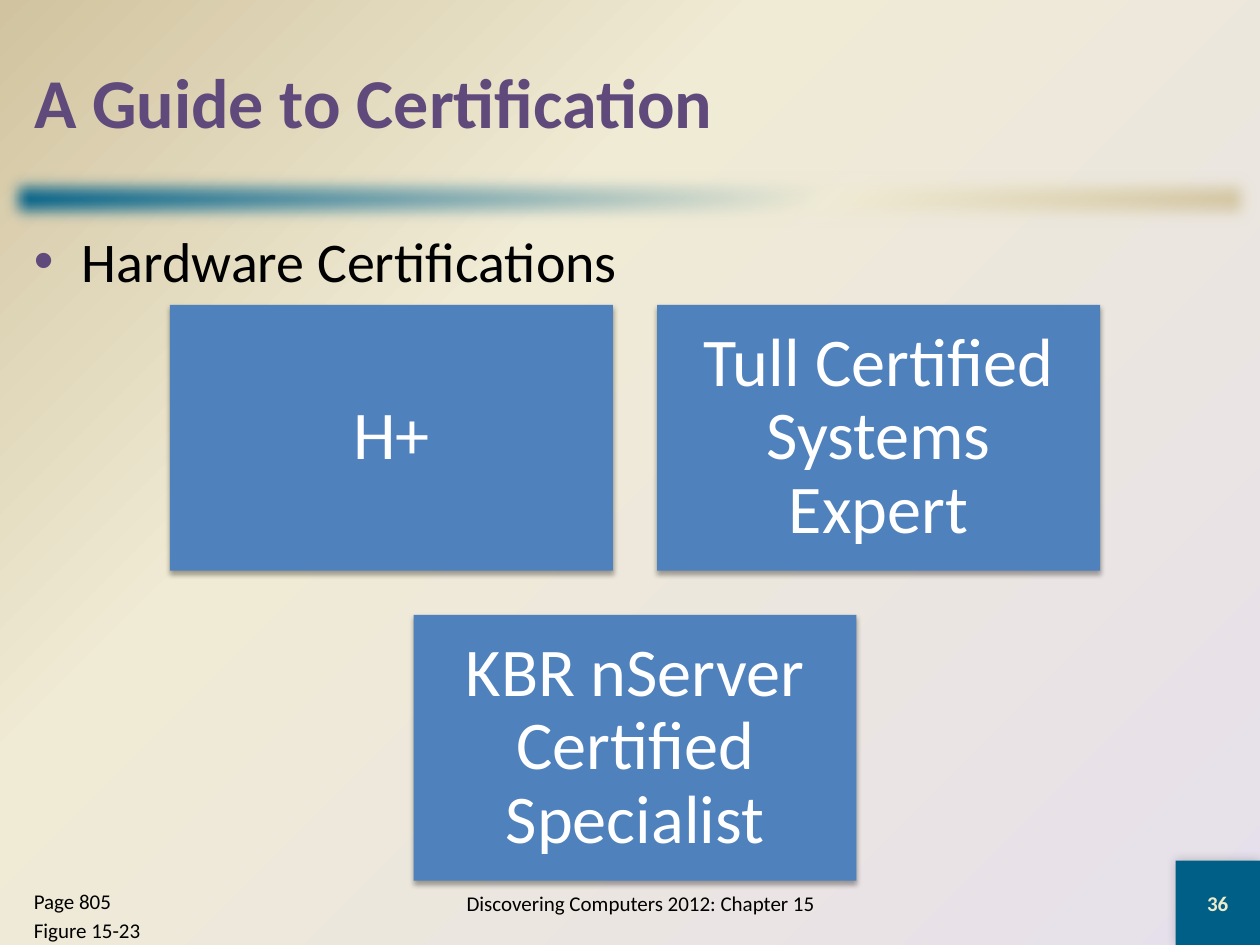
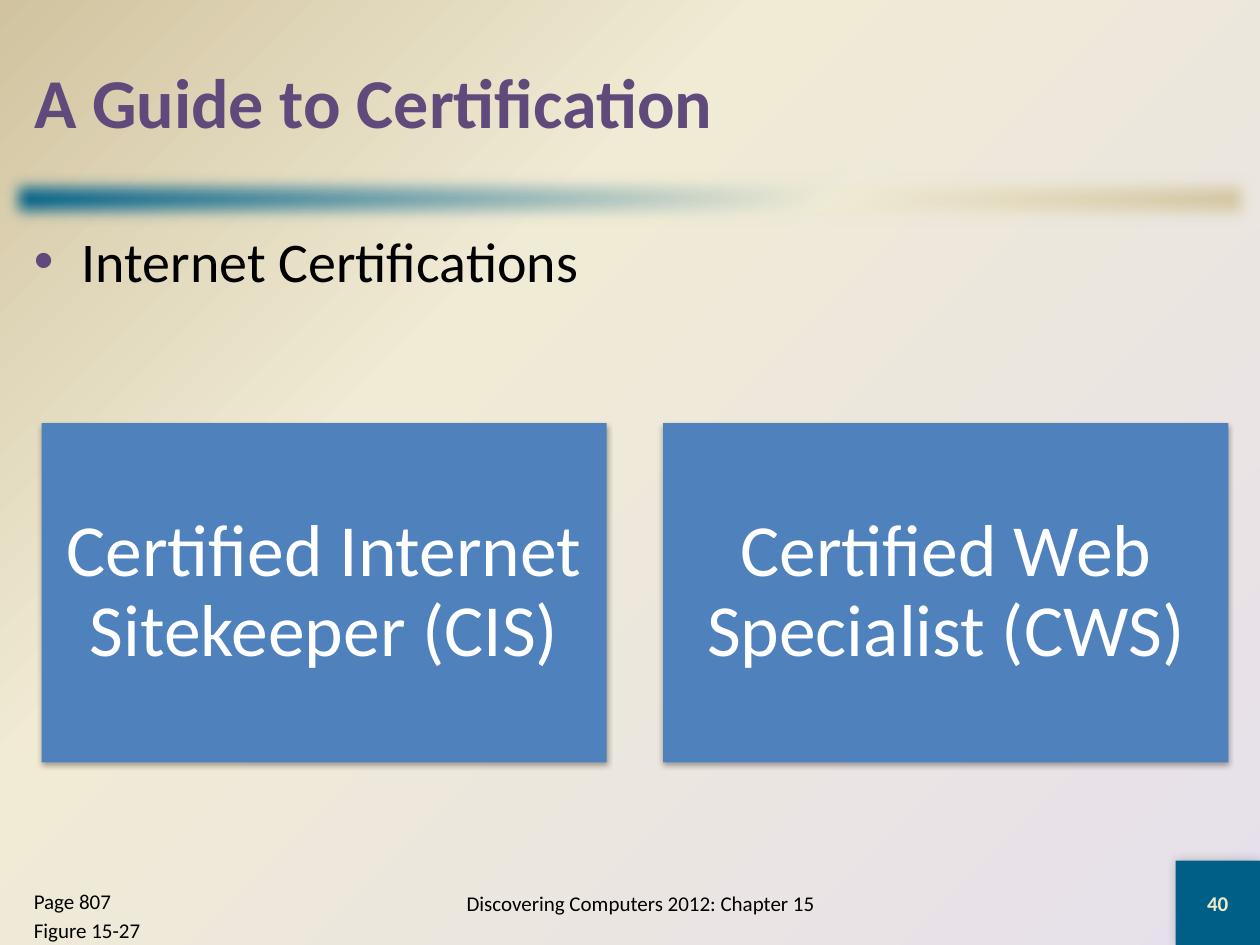
from math import ceil

from lxml import etree
from pptx import Presentation
from pptx.dml.color import RGBColor
from pptx.enum.shapes import MSO_SHAPE
from pptx.enum.text import MSO_ANCHOR, MSO_AUTO_SIZE, PP_ALIGN
from pptx.oxml import parse_xml
from pptx.oxml.ns import nsdecls, qn
from pptx.util import Inches, Pt

FONT = "Calibri"
PURPLE, TEAL, CREAM, SAND = "604A7B", "005F86", "F0EBD5", "D1C39F"
LILAC, BLUE, NUMBER, BLACK, WHITE = "E6E0EC", "4F81BD", "EEEBCA", "000000", "FFFFFF"

TITLE_BOX = (0.17, 0.17, 9.67, 1.25)
BAND_BOX = (0, 1.33, 10, 0.5)
BODY_BOX = (0.17, 1.75, 9.67, 0.65)
TILES_BOX = (0.33, 2.42, 9.42, 4.57)
FOOTER_BOX = (3, 6.92, 4.17, 0.5)
REFERENCE_BOX = (0.17, 7, 1.83, 0.5)
CORNER_BOX = (9.33, 6.83, 0.67, 0.67)

TITLE = "A Guide to Certification"
FOOTER = "Discovering Computers 2012: Chapter 15"
SLIDES = [
    ("Hardware Certifications", 36, ["Page 805", "Figure 15-23"], 39,
     ["H+", "Tull Certified Systems Expert", "KBR nServer Certified Specialist"]),
    ("Internet Certifications", 40, ["Page 807", "Figure 15-27"], 42,
     ["Certified Internet Sitekeeper (CIS)", "Certified Web Specialist (CWS)"]),
]


def rgb(code):
    """Turn a hex string into a colour."""
    return RGBColor.from_string(code)


def inches(box):
    """Turn a box of numbers into lengths."""
    return [Inches(v) for v in box]


def gradient(first, direction):
    """Make a gradient from the first colour through cream to sand."""
    stops = "".join(
        f'<a:gs pos="{pos}000"><a:srgbClr val="{code}"/></a:gs>'
        for pos, code in ((0, first), (65, CREAM), (100, SAND)))
    return parse_xml(f'<a:gradFill {nsdecls("a")} rotWithShape="1">'
                     f'<a:gsLst>{stops}</a:gsLst>{direction}</a:gradFill>')


def add_effect(sp, effect):
    """Replace the effects of a shape."""
    sp.shadow.inherit = False
    effects = sp._element.spPr.find(qn("a:effectLst"))
    effects.append(parse_xml(effect))


def add_shadow(sp, alpha, blur, dist, angle):
    """Give a shape a soft black shadow."""
    add_effect(sp, f'<a:outerShdw {nsdecls("a")} blurRad="{Pt(blur)}" dist="{Pt(dist)}" '
                   f'dir="{angle * 60000}" rotWithShape="0"><a:srgbClr val="{BLACK}">'
                   f'<a:alpha val="{alpha}000"/></a:srgbClr></a:outerShdw>')


def add_rect(slide, box, color):
    """Add a plain rectangle without a line."""
    sp = slide.shapes.add_shape(MSO_SHAPE.RECTANGLE, *inches(box))
    sp.fill.solid()
    sp.fill.fore_color.rgb = rgb(color)
    sp.line.fill.background()
    return sp


def write(sp, lines, size, color, bold=False, align=PP_ALIGN.LEFT, anchor=MSO_ANCHOR.MIDDLE):
    """Write lines of text into a shape in one style."""
    tf = sp.text_frame
    tf.text = "\n".join(lines)
    tf.word_wrap = True
    tf.auto_size = MSO_AUTO_SIZE.NONE
    tf.vertical_anchor = anchor
    for i, p in enumerate(tf.paragraphs):
        p.alignment = align
        if i:
            p.space_before = Pt(size * 0.2)
        for r in p.runs:
            r.font.name, r.font.size, r.font.bold = FONT, Pt(size), bold
            r.font.color.rgb = rgb(color)
    return tf


def add_text(slide, box, lines, size, color, **style):
    """Add a text box."""
    return write(slide.shapes.add_textbox(*inches(box)), lines, size, color, **style)


def set_background(master):
    """Give the master its diagonal background."""
    master.background.fill.solid()
    bg = master.element.find(".//" + qn("p:bgPr"))
    bg.replace(bg[0], gradient(LILAC, '<a:path path="circle">'
                               '<a:fillToRect l="100000" t="100000"/></a:path>'))


def add_band(slide, box):
    """Add the soft band below the title."""
    band = add_rect(slide, box, TEAL)
    spPr = band._element.spPr
    spPr.replace(spPr.find(qn("a:solidFill")),
                 gradient(TEAL, '<a:lin ang="2700000" scaled="1"/>'))
    add_effect(band, f'<a:softEdge {nsdecls("a")} rad="{Pt(10)}"/>')


def add_title(slide, box):
    """Place and format the title."""
    sp = slide.shapes.title
    sp.left, sp.top, sp.width, sp.height = inches(box)
    write(sp, [TITLE], 40, PURPLE, bold=True)


def add_topic(slide, box, topic):
    """Add the bulleted topic."""
    tf = add_text(slide, box, [topic], 32, BLACK, anchor=MSO_ANCHOR.TOP)
    pPr = tf.paragraphs[0]._p.get_or_add_pPr()
    pPr.set("marL", str(Inches(0.38)))
    pPr.set("indent", str(-Inches(0.38)))
    color = etree.SubElement(pPr, qn("a:buClr"))
    etree.SubElement(color, qn("a:srgbClr")).set("val", PURPLE)
    etree.SubElement(pPr, qn("a:buFont")).set("typeface", "Arial")
    etree.SubElement(pPr, qn("a:buChar")).set("char", "•")


def add_corner(slide, box, number):
    """Add the corner square with the slide number."""
    corner = add_rect(slide, box, TEAL)
    add_shadow(corner, 20, 6, 0, 225)
    write(corner, [str(number)], 12, NUMBER, bold=True, align=PP_ALIGN.CENTER)


def add_tiles(slide, box, names, size):
    """Fit tiles into the box, two to a row, with each row centred."""
    left, top, width, height = box
    rows = ceil(len(names) / 2)
    w = min(width / 2.1, height / (0.7 * rows - 0.1))
    h, gap = 0.6 * w, 0.1 * w
    first_y = top + (height - rows * h - (rows - 1) * gap) / 2
    for i, name in enumerate(names):
        row, col = divmod(i, 2)
        count = min(2, len(names) - 2 * row)
        first_x = left + (width - count * w - (count - 1) * gap) / 2
        tile = add_rect(slide, (first_x + col * (w + gap), first_y + row * (h + gap), w, h), BLUE)
        add_shadow(tile, 35, 3.1, 1.8, 90)
        tf = write(tile, [name], size, WHITE, align=PP_ALIGN.CENTER)
        tf.margin_left = tf.margin_right = tf.margin_top = tf.margin_bottom = Inches(0.16)
        tf.paragraphs[0].line_spacing = 0.9


def add_certification_slide(prs, topic, number, reference, size, names):
    """Add one slide of certifications."""
    slide = prs.slides.add_slide(prs.slide_layouts[5])
    add_band(slide, BAND_BOX)
    add_corner(slide, CORNER_BOX, number)
    add_title(slide, TITLE_BOX)
    add_topic(slide, BODY_BOX, topic)
    add_text(slide, FOOTER_BOX, [FOOTER], 12, BLACK, align=PP_ALIGN.CENTER)
    add_text(slide, REFERENCE_BOX, reference, 12, BLACK, anchor=MSO_ANCHOR.TOP)
    add_tiles(slide, TILES_BOX, names, size)


def main():
    """Build and save the slides."""
    prs = Presentation()
    prs.slide_width, prs.slide_height = Inches(10), Inches(7.5)
    set_background(prs.slide_master)
    for content in SLIDES:
        add_certification_slide(prs, *content)
    prs.save("out.pptx")


if __name__ == "__main__":
    main()
